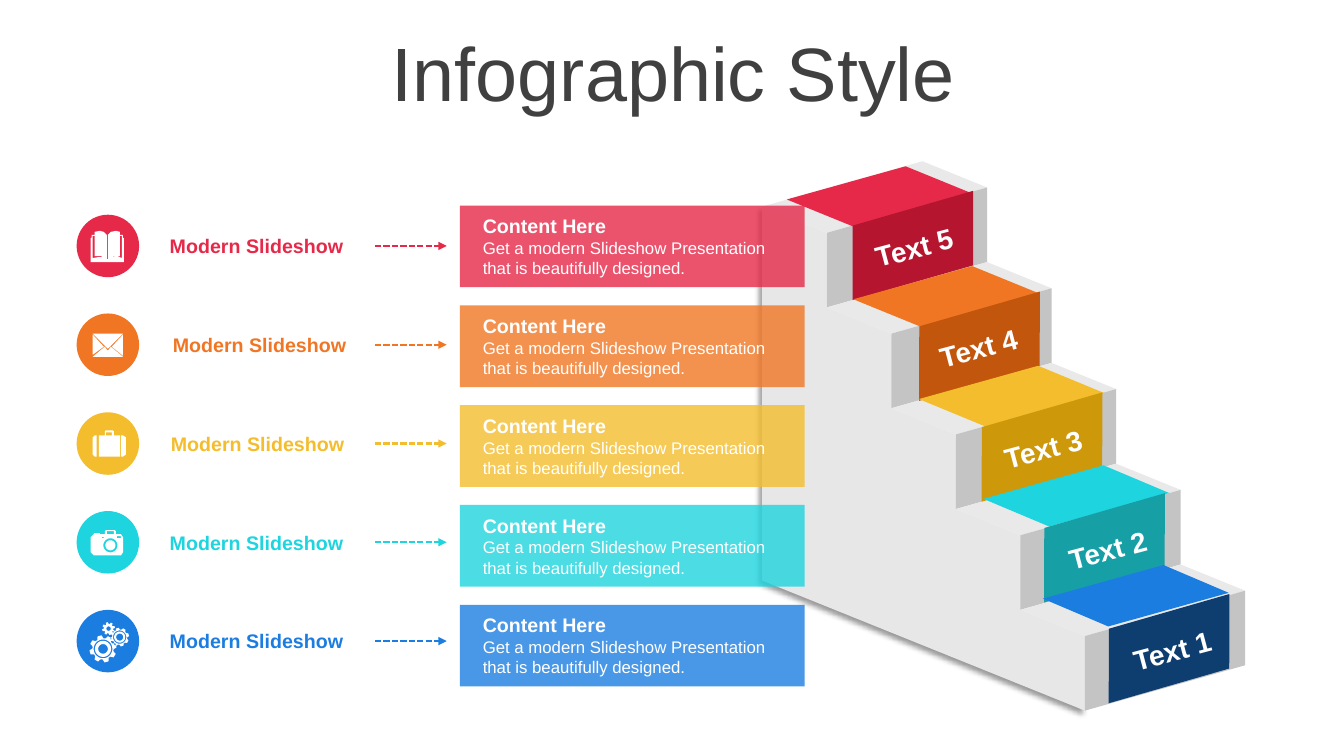
"""Build the five-step staircase infographic slide."""
from math import cos, pi, sin

from lxml import etree
from pptx import Presentation
from pptx.dml.color import RGBColor
from pptx.enum.dml import MSO_LINE
from pptx.enum.shapes import MSO_CONNECTOR, MSO_SHAPE
from pptx.enum.text import MSO_ANCHOR, MSO_AUTO_SIZE, PP_ALIGN
from pptx.oxml.ns import qn
from pptx.util import Inches, Pt

STRAIGHT = MSO_CONNECTOR.STRAIGHT
OVAL, RECTANGLE = MSO_SHAPE.OVAL, MSO_SHAPE.RECTANGLE
PARALLELOGRAM = MSO_SHAPE.PARALLELOGRAM
SHORT_DASH = MSO_LINE.SQUARE_DOT
MIDDLE, TOP = MSO_ANCHOR.MIDDLE, MSO_ANCHOR.TOP
CENTER, LEFT = PP_ALIGN.CENTER, PP_ALIGN.LEFT
NO_AUTOFIT = MSO_AUTO_SIZE.NONE

FONT = "Arial"
WHITE = RGBColor(0xFF, 0xFF, 0xFF)
DARK_GREY = RGBColor(0x40, 0x40, 0x40)
STAIR_SIDE = RGBColor(0xE7, 0xE7, 0xE7)
STAIR_TREAD = RGBColor(0xE9, 0xE9, 0xE9)
STAIR_RISER = RGBColor(0xC4, 0xC4, 0xC4)
RED, DARK_RED = RGBColor(0xE6, 0x29, 0x49), RGBColor(0xB6, 0x15, 0x30)
ORANGE, DARK_ORANGE = RGBColor(0xF0, 0x76, 0x24), RGBColor(0xC2, 0x56, 0x0D)
YELLOW, DARK_YELLOW = RGBColor(0xF4, 0xBD, 0x2D), RGBColor(0xCE, 0x98, 0x0B)
CYAN, DARK_CYAN = RGBColor(0x1E, 0xD4, 0xDE), RGBColor(0x17, 0x9F, 0xA6)
BLUE, DARK_BLUE = RGBColor(0x1C, 0x7D, 0xE1), RGBColor(0x0E, 0x3E, 0x70)

STAIR_LEFT, STAIR_TOP = 7.56, 2.05
STEP_RUN, STEP_PITCH, TREAD_DROP = 0.64, 1.0, 0.26
DEPTH_X, DEPTH_Y = 1.59, -0.45
BADGE_X, BADGE_TOP, BADGE_SIZE, BADGE_PITCH = 1.07, 2.44, 0.62, 0.98
PANEL_TOP, PANEL_PITCH = 2.04, 0.99


def circle(x, y, radius):
    """Return the points of a circle."""
    return [(x + radius * cos(pi * k / 16), y + radius * sin(pi * k / 16)) for k in range(32)]


def gear(x, y, body, tooth):
    """Return the outline of a gear with eight teeth."""
    corners = ((-0.3, body), (-0.15, tooth), (0.15, tooth), (0.3, body))
    return [(x + radius * cos(pi * k / 4 + turn), y + radius * sin(pi * k / 4 + turn))
            for k in range(8) for turn, radius in corners]


def box(left, top, right, bottom):
    """Return the corners of an upright rectangle."""
    return [(left, top), (right, top), (right, bottom), (left, bottom)]


BOOK = [[(-1, 13), (0, 13), (4, 11), (9, 10), (14, 12), (14, -10), (12, -10), (12, 10),
         (6, 10), (0, 13), (0, -11), (3, -14), (8, -15), (12, -14), (12, -11), (15, -11),
         (15, -8), (16, -8), (16, 16), (-17, 16), (-17, -8), (-16, -8), (-16, -11),
         (-13, -11), (-13, -14), (-8, -15), (-4, -14), (-1, -11), (-1, 13), (-7, 10),
         (-13, 10), (-13, -10), (-15, -10), (-15, 12), (-9, 11), (-5, 11)]]
ENVELOPE = [[(3, 2), (15, 12), (-15, 12), (-3, 2), (0, 6)],
            [(15, -10), (15, 11), (4, 2)],
            [(-15, -10), (-4, 2), (-15, 10)],
            [(-15, -11), (15, -11), (0, 4)]]
SUITCASE = [[(13, -8), (15, -8), (18, -6), (18, 11), (15, 13), (13, 13)],
            [(-11, -8), (-13, -8), (-15, -6), (-15, 11), (-13, 13), (-11, 13)],
            box(-2, -11, 4, -8),
            [(-3, -12), (-2, -13), (5, -13), (6, -12), (6, -8), (12, -8), (12, 13),
             (-9, 13), (-9, -8), (-3, -8)]]
CAMERA = [circle(2.5, 3, 5), circle(2.5, 3, 7), box(-6, -5, -4, -4), box(9, -6, 13, -4),
          box(-1, -11, 6, -8),
          [(-2, -12), (7, -12), (8, -11), (8, -8), (13, -8), (15, -5), (15, 10), (13, 13),
           (-14, 13), (-17, 10), (-17, -5), (-14, -8), (-14, -9), (-8, -9), (-8, -8),
           (-3, -8), (-3, -11)]]
GEARS = [gear(-6.5, 6, 10.5, 13.5), circle(-6.5, 6, 9.3), circle(-6.5, 6, 8),
         circle(-6.5, 6, 4.8), gear(12.5, -1, 7.5, 9.3), circle(12.5, -1, 6.6),
         circle(12.5, -1, 5.5), circle(12.5, -1, 3.5), gear(4, -12, 4.6, 6.4),
         circle(4, -12, 2.2)]

ROWS = [("Text 5", RED, DARK_RED, BOOK, 0, 1.46, 7.83, 1.29, 8.33),
        ("Text 4", ORANGE, DARK_ORANGE, ENVELOPE, 0, 1.49, 8.49, 1.29, 8.99),
        ("Text 3", YELLOW, DARK_YELLOW, SUITCASE, 0, 1.47, 9.14, 1.28, 9.61),
        ("Text 2", CYAN, DARK_CYAN, CAMERA, 0, 1.46, 9.78, 1.26, 10.23),
        ("Text 1", BLUE, DARK_BLUE, GEARS, 345, 1.46, 10.37, 1.25, 10.87)]


def paint(shape, color):
    """Give a shape a plain fill without line or shadow."""
    shape.shadow.inherit = False
    shape.fill.solid()
    shape.fill.fore_color.rgb = color
    shape.line.fill.background()
    return shape


def add_preset(slide, kind, left, top, width, height, color):
    """Add a painted preset shape."""
    return paint(slide.shapes.add_shape(
        kind, Inches(left), Inches(top), Inches(width), Inches(height)), color)


def add_outline(slide, contours, color):
    """Add a painted freeform made of closed contours in inches."""
    builder = None
    for contour in contours:
        points = [(Inches(x), Inches(y)) for x, y in contour]
        if builder is None:
            builder = slide.shapes.build_freeform(*points[0], scale=1.0)
        else:
            builder.move_to(*points[0])
        builder.add_line_segments(points[1:], close=True)
    return paint(builder.convert_to_shape(), color)


def add_run(paragraph, text, size, color, bold=False):
    """Add a formatted run."""
    run = paragraph.add_run()
    run.text = text
    run.font.name, run.font.size, run.font.bold = FONT, Pt(size), bold
    run.font.color.rgb = color


def add_text(slide, text, left, top, width, height, size, color,
             bold=True, align=LEFT, anchor=MIDDLE):
    """Add a wrapping text box with one paragraph."""
    text_box = slide.shapes.add_textbox(Inches(left), Inches(top), Inches(width), Inches(height))
    frame = text_box.text_frame
    frame.word_wrap, frame.vertical_anchor = True, anchor
    frame.paragraphs[0].alignment = align
    add_run(frame.paragraphs[0], text, size, color, bold)
    return text_box


def add_title(slide, text):
    """Place and format the title placeholder."""
    title = slide.shapes.title
    title.left, title.top = Inches(0.35), Inches(0.37)
    title.width, title.height = Inches(12.66), Inches(0.79)
    frame = title.text_frame
    frame.auto_size, frame.vertical_anchor = NO_AUTOFIT, MIDDLE
    paragraph = frame.paragraphs[0]
    paragraph.alignment, paragraph.line_spacing = CENTER, 0.9
    add_run(paragraph, text, 54, DARK_GREY)


def add_arrow(slide, y, color):
    """Add a dashed arrow pointing right."""
    arrow = slide.shapes.add_connector(STRAIGHT, Inches(3.72), Inches(y), Inches(4.43), Inches(y))
    arrow.line.color.rgb = color
    arrow.line.width, arrow.line.dash_style = Pt(1.5), SHORT_DASH
    properties = arrow.element.spPr
    etree.SubElement(properties.find(qn("a:ln")), qn("a:tailEnd"), type="triangle")
    etree.SubElement(properties, qn("a:effectLst"))


def add_soft_shadow(shape):
    """Give a shape a soft shadow to the lower left."""
    effects = shape.element.spPr.find(qn("a:effectLst"))
    shadow = etree.SubElement(effects, qn("a:outerShdw"), blurRad=str(Pt(4)), dist=str(Pt(3)),
                              dir="8100000", algn="tr", rotWithShape="0")
    black = etree.SubElement(shadow, qn("a:srgbClr"), val="000000")
    etree.SubElement(black, qn("a:alpha"), val="40000")


def add_staircase(slide):
    """Draw the grey staircase: side, treads and risers."""
    profile = []
    for step in range(len(ROWS)):
        x, y = STAIR_LEFT + step * STEP_RUN, STAIR_TOP + step * STEP_PITCH
        profile += [(x, y), (x + STEP_RUN, y + TREAD_DROP)]
    foot = (profile[-1][0], profile[-1][1] + STEP_PITCH - TREAD_DROP)
    profile.append(foot)
    add_soft_shadow(add_outline(slide, [profile + [(STAIR_LEFT, 5.76)]], STAIR_SIDE))
    for index, (start, end) in enumerate(zip(profile, profile[1:])):
        back = [(x + DEPTH_X, y + DEPTH_Y) for x, y in (end, start)]
        add_outline(slide, [[start, end] + back], STAIR_RISER if index % 2 else STAIR_TREAD)


def add_step(slide, index, row):
    """Draw the coloured tread and labelled riser of one step."""
    label, color, dark, _, _, _, tread_left, tread_slant, riser_left = row
    drop = index * STEP_PITCH
    tread = add_preset(slide, PARALLELOGRAM, tread_left, 1.73 + 0.99 * index, 1.79, 0.44, color)
    tread.adjustments[0], tread.rotation = tread_slant, 344.4
    tread.element.spPr.xfrm.set("flipH", "1")
    riser = add_preset(slide, PARALLELOGRAM, riser_left, 2.08 + drop, 1.45, 0.71, dark)
    riser.adjustments[0], riser.rotation = 0.29, 343.9
    caption = add_text(slide, label, 8.47 + index * STEP_RUN, 2.23 + drop, 1.19, 0.44,
                       20, WHITE, align=CENTER)
    caption.rotation = 345


def add_row(slide, index, row):
    """Draw the badge, label, arrow and content panel of one row."""
    _, color, _, icon, turn, label_left, _, _, _ = row
    y = BADGE_TOP + index * BADGE_PITCH
    add_preset(slide, OVAL, BADGE_X - BADGE_SIZE / 2, y - BADGE_SIZE / 2,
               BADGE_SIZE, BADGE_SIZE, color)
    contours = [[(BADGE_X + dx / 100, y + dy / 100) for dx, dy in contour] for contour in icon]
    add_outline(slide, contours, WHITE).rotation = turn
    add_text(slide, "Modern Slideshow", label_left, y - 0.17, 2.17, 0.34, 14, color, align=CENTER)
    add_arrow(slide, y, color)
    top = PANEL_TOP + index * PANEL_PITCH
    panel = add_preset(slide, RECTANGLE, 4.56, top, 3.42, 0.81, color)
    fill_color = panel.element.spPr.find(qn("a:solidFill"))[0]
    etree.SubElement(fill_color, qn("a:alpha"), val="80000")
    add_text(slide, "Content Here", 4.69, top + 0.03, 3.17, 0.34, 14, WHITE)
    add_text(slide, "Get a modern Slideshow Presentation that is beautifully designed.",
             4.69, top + 0.27, 3.17, 0.5, 12, WHITE, bold=False, anchor=TOP)


def main():
    """Build and save the presentation."""
    presentation = Presentation()
    presentation.slide_width, presentation.slide_height = Inches(13.33), Inches(7.5)
    slide = presentation.slides.add_slide(presentation.slide_layouts[5])
    add_title(slide, "Infographic Style")
    add_staircase(slide)
    for add_part in (add_step, add_row):
        for index, row in enumerate(ROWS):
            add_part(slide, index, row)
    presentation.save("out.pptx")


if __name__ == "__main__":
    main()
